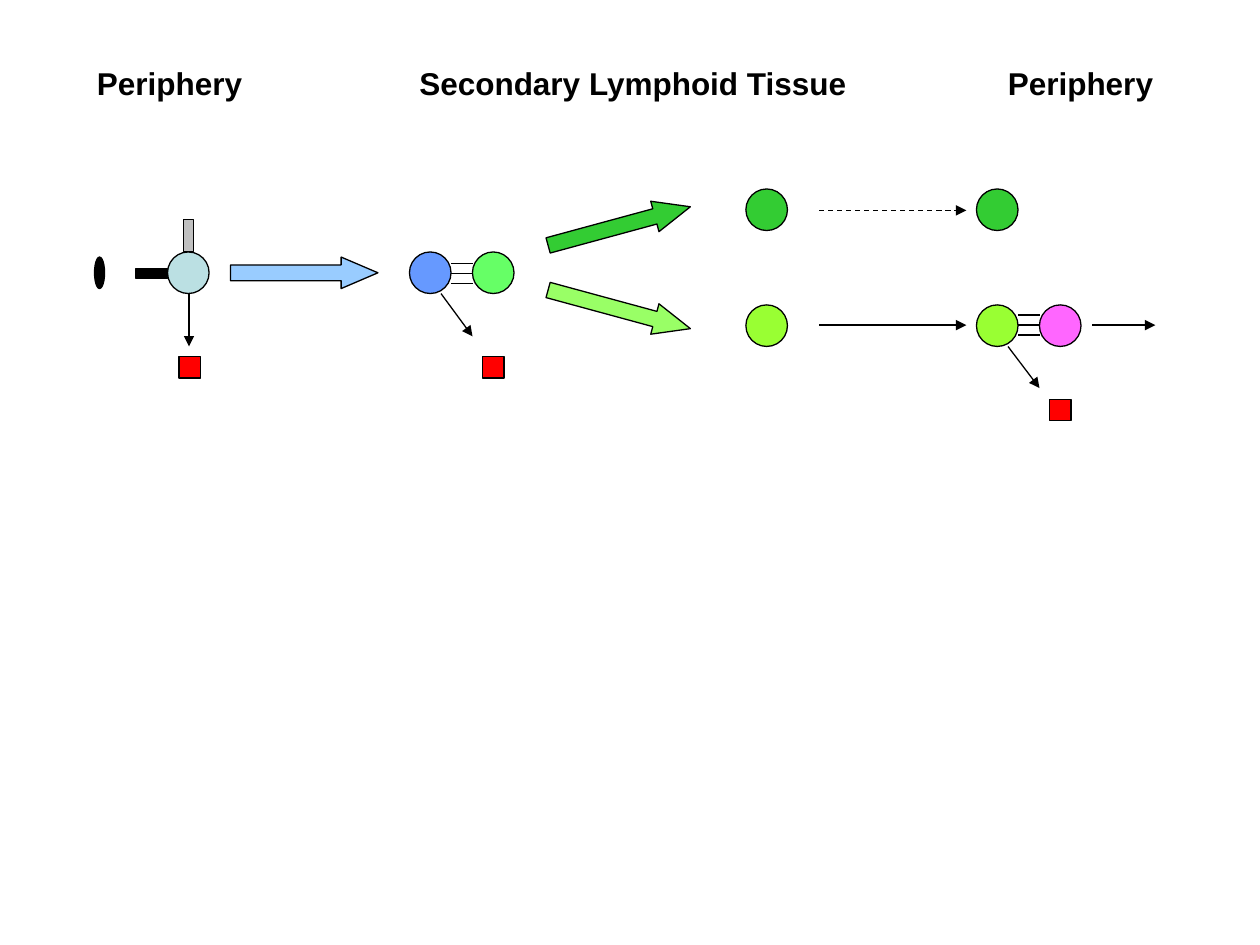
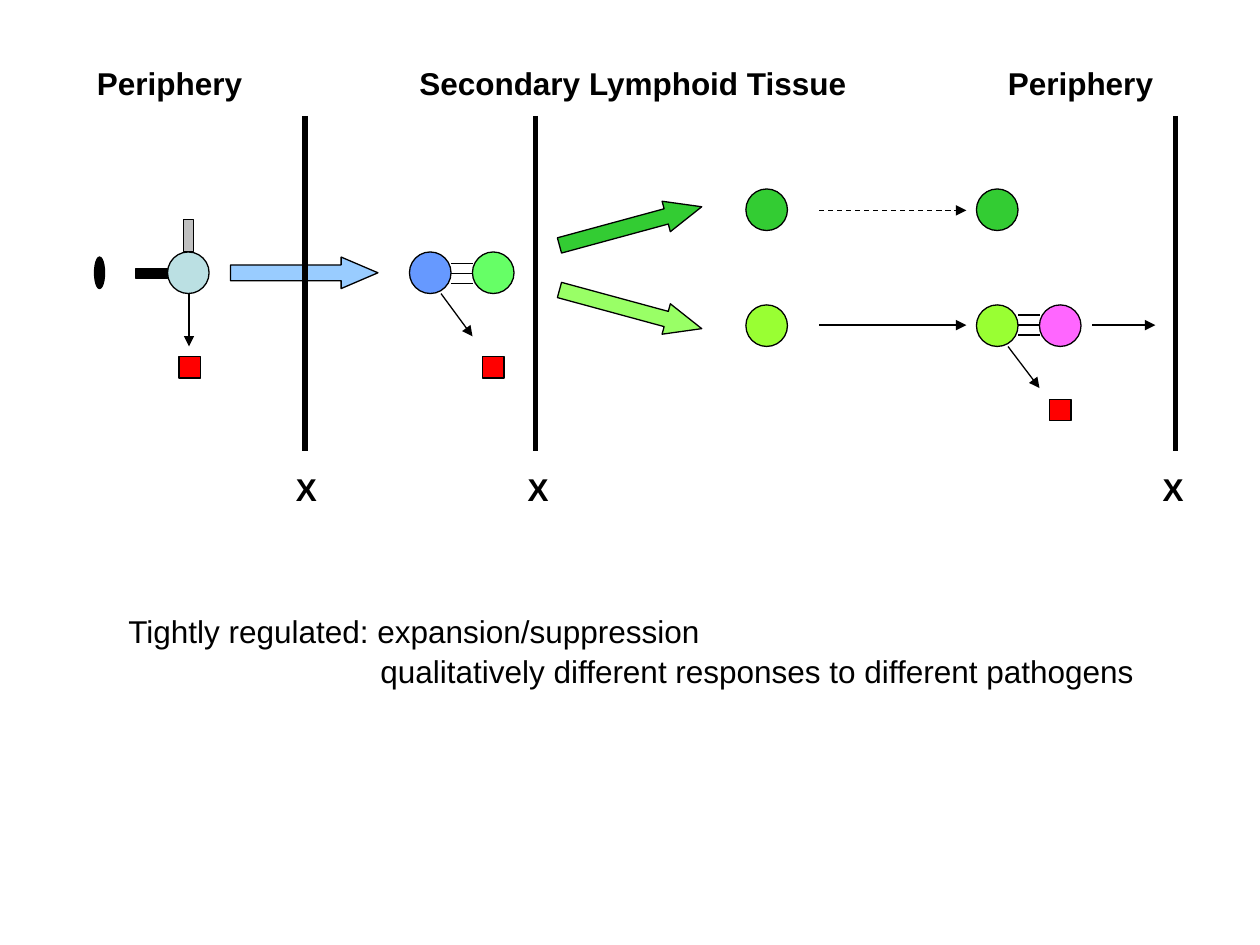
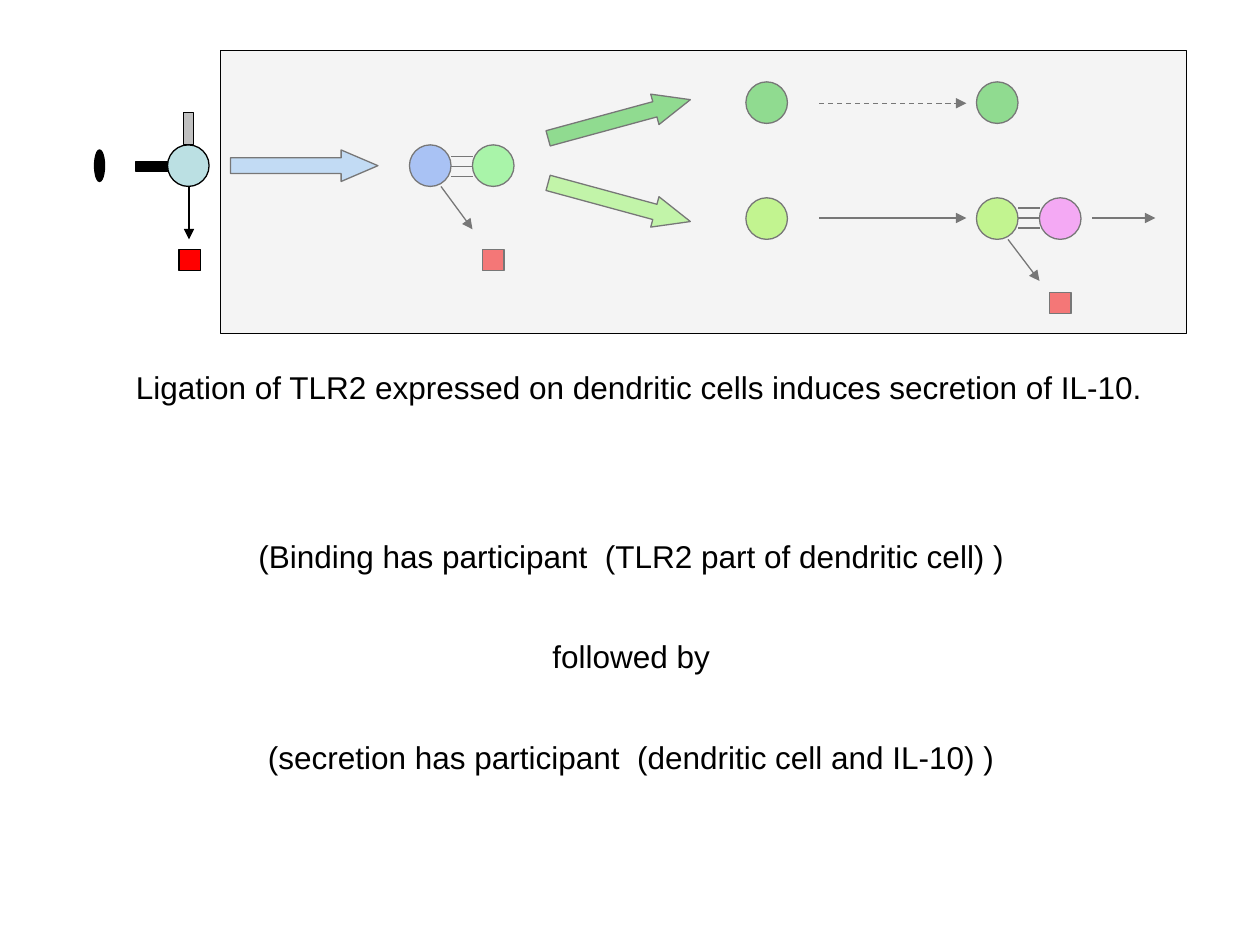
from lxml import etree
from pptx import Presentation
from pptx.dml.color import RGBColor
from pptx.enum.dml import MSO_LINE
from pptx.enum.shapes import MSO_CONNECTOR, MSO_SHAPE
from pptx.enum.text import PP_ALIGN
from pptx.oxml.ns import qn
from pptx.util import Inches, Pt

CIRCLE, SQUARE, ARROW = MSO_SHAPE.OVAL, MSO_SHAPE.RECTANGLE, MSO_SHAPE.RIGHT_ARROW
STRAIGHT, DASH = MSO_CONNECTOR.STRAIGHT, MSO_LINE.DASH
LEFT, CENTER = PP_ALIGN.LEFT, PP_ALIGN.CENTER

COLORS = {
    "black": "000000", "receptor": "C0C0C0", "dendritic": "BBE0E3",
    "migration": "99CCFF", "mature": "6699FF", "naive": "66FF66",
    "memory": "33CC33", "effector": "99FF33", "effector_path": "99FF66",
    "target": "FF66FF", "cytokine": "FF0000", "veil": "EAEAEA",
}
FONT, TEXT_SIZE, LINE_SPACING = "Arial", Pt(18), 1.04
CELL, CYTOKINE = 0.33, 0.17


def add_part(slide, kind, left, top, width, height, color, rotation=0):
    part = slide.shapes.add_shape(
        kind, Inches(left), Inches(top), Inches(width), Inches(height))
    part.shadow.inherit = False
    part.fill.solid()
    part.fill.fore_color.rgb = RGBColor.from_string(COLORS[color])
    part.line.color.rgb = RGBColor.from_string(COLORS["black"])
    part.line.width = Pt(0.75)
    part.rotation = rotation
    if kind == ARROW:
        part.adjustments[0] = 0.5
        part.adjustments[1] = 1.167
    return part


def add_line(slide, x1, y1, x2, y2, width=0.75, arrow=False, dashed=False):
    line = slide.shapes.add_connector(
        STRAIGHT, Inches(x1), Inches(y1), Inches(x2), Inches(y2))
    line.line.color.rgb = RGBColor.from_string(COLORS["black"])
    line.line.width = Pt(width)
    if dashed:
        line.line.dash_style = DASH
    properties = line._element.spPr
    if arrow:
        etree.SubElement(properties.find(qn("a:ln")), qn("a:tailEnd"), type="triangle")
    etree.SubElement(properties, qn("a:effectLst"))


# Cells: left, top, colour
cells = [
    (1.33, 2, "dendritic"), (3.25, 2, "mature"), (3.75, 2, "naive"),
    (5.92, 1.5, "memory"), (7.75, 1.5, "memory"),
    (5.92, 2.42, "effector"), (7.75, 2.42, "effector"), (8.25, 2.42, "target"),
]
cytokines = [(1.42, 2.83), (3.83, 2.83), (8.33, 3.17)]
# Contacts between paired cells: left end, middle height
contacts = [(3.58, 2.17), (8.08, 2.58)]
# Thin arrows: start, end, dashed
thin_arrows = [
    (1.5, 2.33, 1.5, 2.75, False), (3.5, 2.33, 3.75, 2.67, False),
    (6.5, 1.67, 7.67, 1.67, True), (6.5, 2.58, 7.67, 2.58, False),
    (8, 2.75, 8.25, 3.08, False), (8.67, 2.58, 9.17, 2.58, False),
]

# Texts: left, top, width, height, bold, alignment, space before, indent of
# the later paragraphs, paragraphs
headings = [
    (left, 0.45, width, 0.4, True, LEFT, 0, 0, [heading])
    for left, width, heading in [
        (0.67, 1.35, "Periphery"), (3.23, 3.6, "Secondary Lymphoid Tissue"),
        (7.9, 1.35, "Periphery")]
]
checkpoint_marks = [
    (left, 3.67, 0.36, 0.4, True, LEFT, 0, 0, ["X"]) for left in (2.25, 4.09, 9.13)
]
regulation = (0.92, 4.8, 8.19, 0.7, False, LEFT, 0, 2, [
    "Tightly regulated: expansion/suppression",
    "qualitatively different responses to different pathogens"])
statement = (0.98, 2.86, 8.19, 0.4, False, LEFT, 0, 0, [
    "Ligation of TLR2 expressed on dendritic cells induces secretion of IL-10."])
formal_version = (1.95, 4.2, 6.12, 1.98, False, CENTER, 35, 0, [
    "(Binding has participant  (TLR2 part of dendritic cell) )",
    "followed by",
    "(secretion has participant  (dendritic cell and IL-10) )"])

# Slides: upward shift of the pathway, left of the fork, checkpoints, veil, texts
slides = [
    (0, 4.33, [], False, headings),
    (0, 4.42, [2.42, 4.25, 9.33], False, headings + checkpoint_marks + [regulation]),
    (0.85, 4.33, [], True, [statement, formal_version]),
]

prs = Presentation()
prs.slide_width, prs.slide_height = Inches(10), Inches(7.5)
blank_layout = prs.slide_layouts[6]

for shift, fork_left, checkpoints, veiled, texts in slides:
    slide = prs.slides.add_slide(blank_layout)

    # Pathogen and the two receptors
    add_part(slide, CIRCLE, 0.75, 2.04 - shift, 0.08, 0.25, "black")
    add_part(slide, SQUARE, 1.08, 2.13 - shift, 0.25, 0.08, "black")
    add_part(slide, SQUARE, 1.37, 1.83 - shift, 0.25, 0.08, "receptor", 90)

    # Cells and cytokines
    for left, top, color in cells:
        add_part(slide, CIRCLE, left, top - shift, CELL, CELL, color)
    for left, top in cytokines:
        add_part(slide, SQUARE, left, top - shift, CYTOKINE, CYTOKINE, "cytokine")

    # Migration and the fork into memory and effector cells
    for left, top, color, rotation in [
            (1.83, 2.04, "migration", 0), (fork_left, 1.67, "memory", -15.2),
            (fork_left, 2.33, "effector_path", 15.2)]:
        add_part(slide, ARROW, left, top - shift, 1.17, 0.25, color, rotation)

    # Contacts and thin arrows
    for left, middle in contacts:
        for offset in (-0.08, 0, 0.08):
            y = middle + offset - shift
            add_line(slide, left, y, left + 0.17, y)
    for x1, y1, x2, y2, dashed in thin_arrows:
        add_line(slide, x1, y1 - shift, x2, y2 - shift, arrow=True, dashed=dashed)

    # Checkpoint bars
    for x in checkpoints:
        add_line(slide, x, 0.92, x, 3.58, width=3)

    # Translucent veil over the later steps
    if veiled:
        veil = add_part(slide, SQUARE, 1.75, 0.4, 7.67, 2.25, "veil")
        veil_color = veil._element.spPr.find(qn("a:solidFill"))[0]
        etree.SubElement(veil_color, qn("a:alpha"), val="51000")

    # Texts
    for left, top, width, height, bold, align, space, indent, lines in texts:
        box = slide.shapes.add_textbox(
            Inches(left), Inches(top), Inches(width), Inches(height))
        frame = box.text_frame
        frame.word_wrap = False
        frame.text = "\n".join(lines)
        for number, paragraph in enumerate(frame.paragraphs):
            paragraph.alignment = align
            paragraph.line_spacing = LINE_SPACING
            if number and space:
                paragraph.space_before = Pt(space)
            if number and indent:
                paragraph._p.get_or_add_pPr().set("marL", str(Inches(indent)))
            font = paragraph.runs[0].font
            font.name, font.size, font.bold = FONT, TEXT_SIZE, bold
            font.color.rgb = RGBColor.from_string(COLORS["black"])

prs.save("out.pptx")
